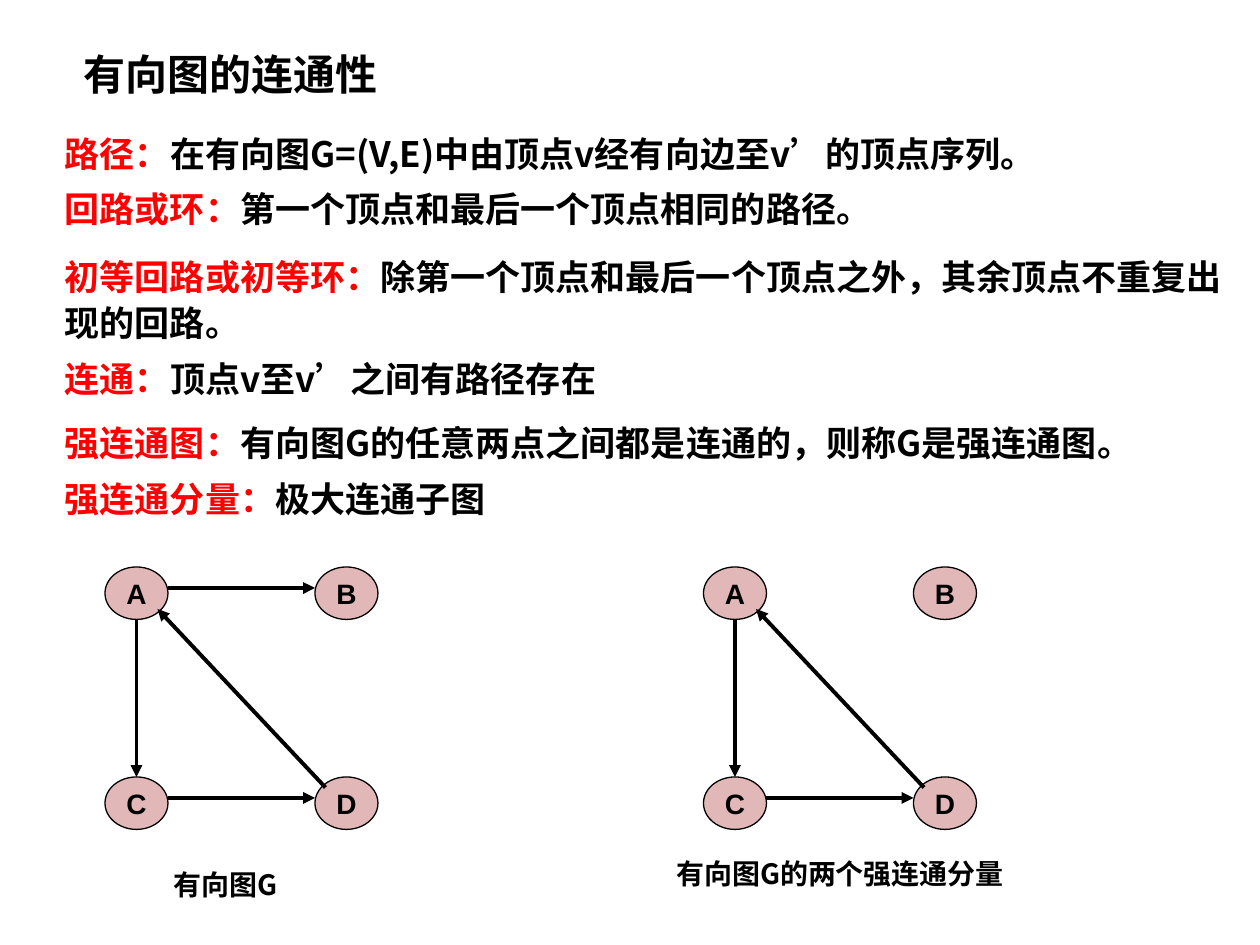
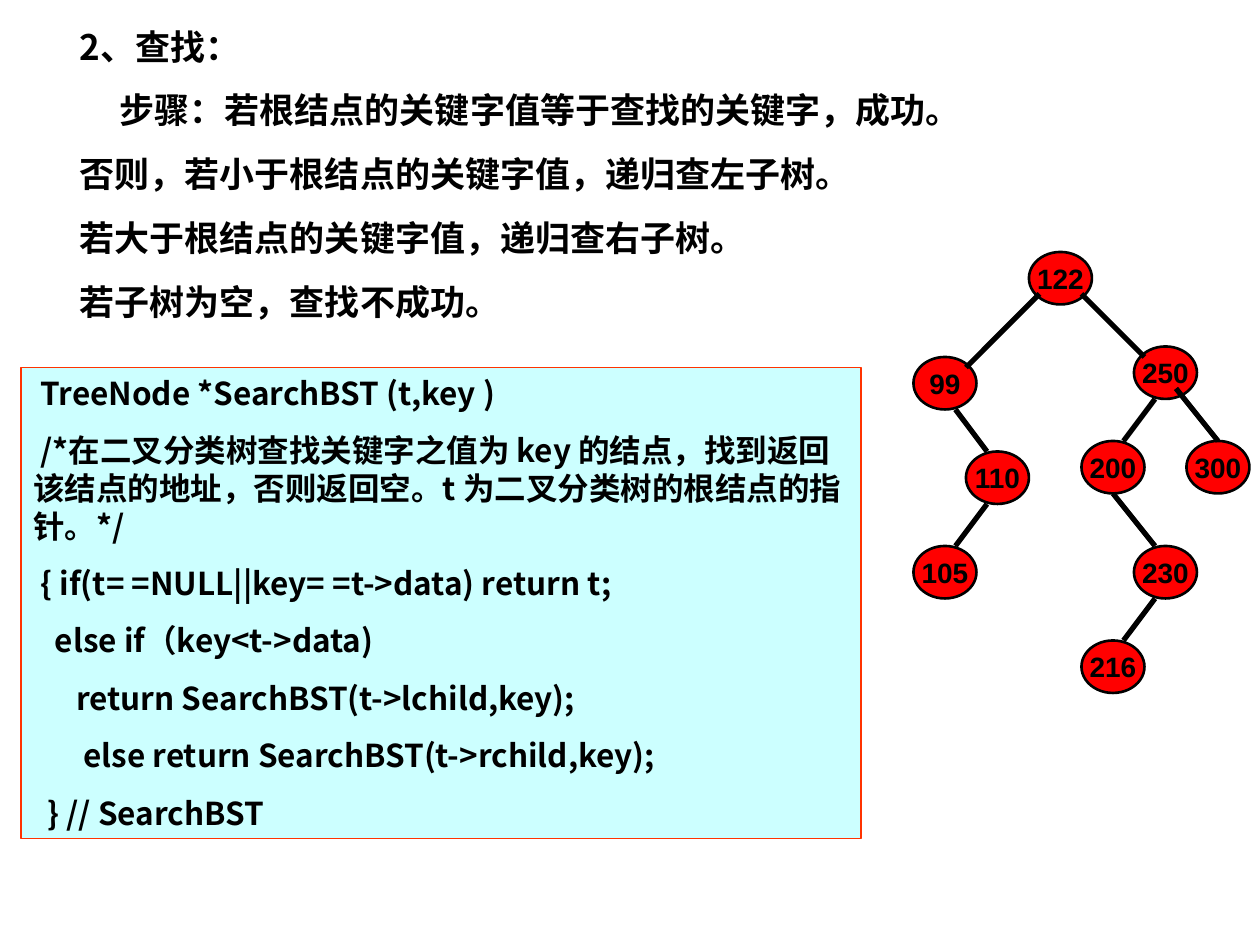
from dataclasses import dataclass
from typing import Any, NamedTuple

import pptx
import pptx.dml.color
import pptx.enum.shapes
import pptx.enum.text
import pptx.oxml
import pptx.oxml.ns
import pptx.util

RGBColor = pptx.dml.color.RGBColor
PP_ALIGN = pptx.enum.text.PP_ALIGN
Pt = pptx.util.Pt
SHAPE = pptx.enum.shapes.MSO_SHAPE

BLACK = RGBColor(0x00, 0x00, 0x00)
RED = RGBColor(0xFF, 0x00, 0x00)
PINK = RGBColor(0xE1, 0xB7, 0xB7)
PALE_CYAN = RGBColor(0xCC, 0xFF, 0xFF)
ORANGE_RED = RGBColor(0xFF, 0x33, 0x00)

LATIN = "Arial"
CJK = "Noto Sans CJK SC"

# The slide is a grid of 120 columns by 90 rows.
SLIDE_W, SLIDE_H = pptx.util.Inches(10), pptx.util.Inches(7.5)
COLS, ROWS = 120, 90
NODE_W, NODE_H = 6, 5


class Box(NamedTuple):
    col: float
    row: float
    cols: float
    rows: float


class Edge(NamedTuple):
    col1: float
    row1: float
    col2: float
    row2: float


class Node(NamedTuple):
    label: str
    col: float
    row: float


class Run(NamedTuple):
    text: str
    color: RGBColor = BLACK
    font: str = CJK


@dataclass(frozen=True)
class Para:
    runs: list[Run]
    spacing: float = 1.0
    indent: float = 0.0


class Definition(NamedTuple):
    term: str
    meaning: str
    spacing: float


@dataclass(frozen=True)
class DiagramStyle:
    fill: RGBColor
    outline: float
    edge: float
    arrows: bool


GRAPH_STYLE = DiagramStyle(PINK, 0.75, 2.25, True)
TREE_STYLE = DiagramStyle(RED, 1.5, 3, False)

DEFINITIONS = [
    Definition("路径：", "在有向图G=(V,E)中由顶点v经有向边至v’的顶点序列。", 1.0),
    Definition("回路或环：", "第一个顶点和最后一个顶点相同的路径。", 0.8),
    Definition("初等回路或初等环：",
               "除第一个顶点和最后一个顶点之外，其余顶点不重复出现的回路。", 1.1),
    Definition("连通：", "顶点v至v’之间有路径存在", 0.8),
    Definition("强连通图：", "有向图G的任意两点之间都是连通的，则称G是强连通图。", 1.0),
    Definition("强连通分量：", "极大连通子图", 0.8),
]

GRAPH_ROW, GRAPH_STEP = 54, 20
GRAPH_NODES = [Node(label, i % 2 * GRAPH_STEP, i // 2 * GRAPH_STEP)
               for i, label in enumerate("ABCD")]
EDGE_AB = Edge(6, 2, 20, 2)
COMPONENT_EDGES = [Edge(6, 22, 20, 22), Edge(3, 5, 3, 20), Edge(21, 21, 5, 4)]

SEARCH_STEPS = [
    "2、查找：",
    "步骤：若根结点的关键字值等于查找的关键字，成功。",
    "否则，若小于根结点的关键字值，递归查左子树。",
    "若大于根结点的关键字值，递归查右子树。",
    "若子树为空，查找不成功。",
]

SEARCH_CODE = """\
 TreeNode *SearchBST (t,key )
 /*在二叉分类树查找关键字之值为 key 的结点，找到返回该结点的地址，否则返回空。t 为二叉分类树的根结点的指针。*/
 { if(t= =NULL||key= =t->data) return t;
   else if（key<t->data)
      return SearchBST(t->lchild,key);
       else return SearchBST(t->rchild,key);
  } // SearchBST"""

TREE_NODES = [
    Node("122", 98, 24), Node("250", 108, 33), Node("300", 113, 42),
    Node("110", 92, 43), Node("200", 103, 42), Node("99", 87, 34),
    Node("105", 87, 52), Node("230", 108, 52), Node("216", 103, 61),
]
TREE_EDGES = [
    Edge(99, 28, 92, 35), Edge(103, 28, 109, 34), Edge(112, 37, 116, 42),
    Edge(110, 38, 107, 42), Edge(91, 39, 94, 43), Edge(94, 48, 91, 52),
    Edge(106, 47, 110, 52), Edge(110, 57, 107, 61),
]


def x(col: float) -> int:
    return round(SLIDE_W * col / COLS)


def y(row: float) -> int:
    return round(SLIDE_H * row / ROWS)


def place(box: Box) -> tuple[int, int, int, int]:
    return x(box.col), y(box.row), x(box.cols), y(box.rows)


def apply(obj: Any, values: dict[str, Any]) -> None:
    for name, value in values.items():
        setattr(obj, name, value)


def add_xml(parent: Any, tag: str, **attrs: str) -> None:
    child = pptx.oxml.parse_xml(f"<a:{tag} {pptx.oxml.ns.nsdecls('a')}/>")
    for name, value in attrs.items():
        child.set(name, value)
    parent.append(child)


def write(tf: Any, paras: list[Para], size: float, before: float = 0,
          align: Any = PP_ALIGN.LEFT) -> None:
    for i, para in enumerate(paras):
        p = tf.add_paragraph() if i else tf.paragraphs[0]
        apply(p, {"alignment": align, "line_spacing": para.spacing,
                  "space_before": Pt(before if i else 0)})
        if para.indent:
            p._p.get_or_add_pPr().set("indent", str(x(para.indent)))
        for run in para.runs:
            r = p.add_run()
            r.text = run.text
            apply(r.font, {"name": run.font, "size": Pt(size), "bold": True})
            r.font.color.rgb = run.color
            add_xml(r.font._element, "ea", typeface=CJK)


def grow(tf: Any) -> None:
    """Wrap the text and let the shape follow its height."""
    apply(tf, {"word_wrap": True,
               "auto_size": pptx.enum.text.MSO_AUTO_SIZE.SHAPE_TO_FIT_TEXT,
               "vertical_anchor": pptx.enum.text.MSO_ANCHOR.TOP})


def add_text(s: Any, box: Box, paras: list[Para], size: float,
             before: float = 0, align: Any = PP_ALIGN.LEFT) -> None:
    tf = s.shapes.add_textbox(*place(box)).text_frame
    grow(tf)
    write(tf, paras, size, before, align)


def add_outlined(s: Any, kind: Any, box: Box, fill: RGBColor,
                 line: RGBColor, width: float) -> Any:
    sp = s.shapes.add_shape(kind, *place(box))
    sp.shadow.inherit = False
    sp.fill.solid()
    sp.fill.fore_color.rgb = fill
    sp.line.color.rgb = line
    sp.line.width = Pt(width)
    return sp


def add_edge(s: Any, edge: Edge, style: DiagramStyle) -> None:
    line = s.shapes.add_connector(
        pptx.enum.shapes.MSO_CONNECTOR.STRAIGHT,
        x(edge.col1), y(edge.row1), x(edge.col2), y(edge.row2))
    line.line.color.rgb = BLACK
    line.line.width = Pt(style.edge)
    if style.arrows:
        add_xml(line.line._get_or_add_ln(), "tailEnd", type="triangle")
    add_xml(line._element.spPr, "effectLst")


def add_diagram(s: Any, nodes: list[Node], edges: list[Edge], style: DiagramStyle,
                col: float = 0, row: float = 0) -> None:
    """Draw nodes and edges, shifted by col and row."""
    for node in nodes:
        box = Box(col + node.col, row + node.row, NODE_W, NODE_H)
        sp = add_outlined(s, SHAPE.OVAL, box, style.fill, BLACK, style.outline)
        apply(sp.text_frame, {"word_wrap": False,
                              "vertical_anchor": pptx.enum.text.MSO_ANCHOR.MIDDLE})
        write(sp.text_frame, [Para([Run(node.label, font=LATIN)])], 16,
              align=PP_ALIGN.CENTER)
    for e in edges:
        add_edge(s, Edge(col + e.col1, row + e.row1, col + e.col2, row + e.row2), style)


def definition_para(d: Definition) -> Para:
    left, quote, right = d.meaning.partition("’")
    runs = [Run(d.term, RED), Run(left), Run(quote, font=LATIN), Run(right)]
    return Para([run for run in runs if run.text], d.spacing)


def build_connectivity(s: Any) -> None:
    add_text(s, Box(6, 4, 32, 6), [Para([Run("有向图的连通性", font=LATIN)])], 24,
             align=PP_ALIGN.CENTER)
    add_text(s, Box(5, 12, 114, 38), [definition_para(d) for d in DEFINITIONS], 20, 12.5)
    for box, caption in ((Box(13, 82, 17, 4.4), "有向图G"),
                         (Box(61, 81, 38, 4.4), "有向图G的两个强连通分量")):
        add_text(s, box, [Para([Run(caption)])], 16, align=PP_ALIGN.CENTER)
    for col, edges in ((10, [EDGE_AB, *COMPONENT_EDGES]), (67, COMPONENT_EDGES)):
        add_diagram(s, GRAPH_NODES, edges, GRAPH_STYLE, col, GRAPH_ROW)


def build_search(s: Any) -> None:
    steps = [Para([Run(step)], indent=3.8 if step.startswith("步骤") else 0)
             for step in SEARCH_STEPS]
    add_text(s, Box(6.4, 1.8, 87, 29.5), steps, 20, 12.5)
    add_diagram(s, TREE_NODES, TREE_EDGES, TREE_STYLE)
    sp = add_outlined(s, SHAPE.RECTANGLE, Box(2, 35, 80, 44.9), PALE_CYAN,
                      ORANGE_RED, 0.75)
    grow(sp.text_frame)
    write(sp.text_frame, [Para([Run(line)]) for line in SEARCH_CODE.splitlines()],
          18, 11.2)


def main() -> None:
    prs = pptx.Presentation()
    apply(prs, {"slide_width": SLIDE_W, "slide_height": SLIDE_H})
    for build in (build_connectivity, build_search):
        build(prs.slides.add_slide(prs.slide_layouts[6]))
    prs.save("out.pptx")


if __name__ == "__main__":
    main()
